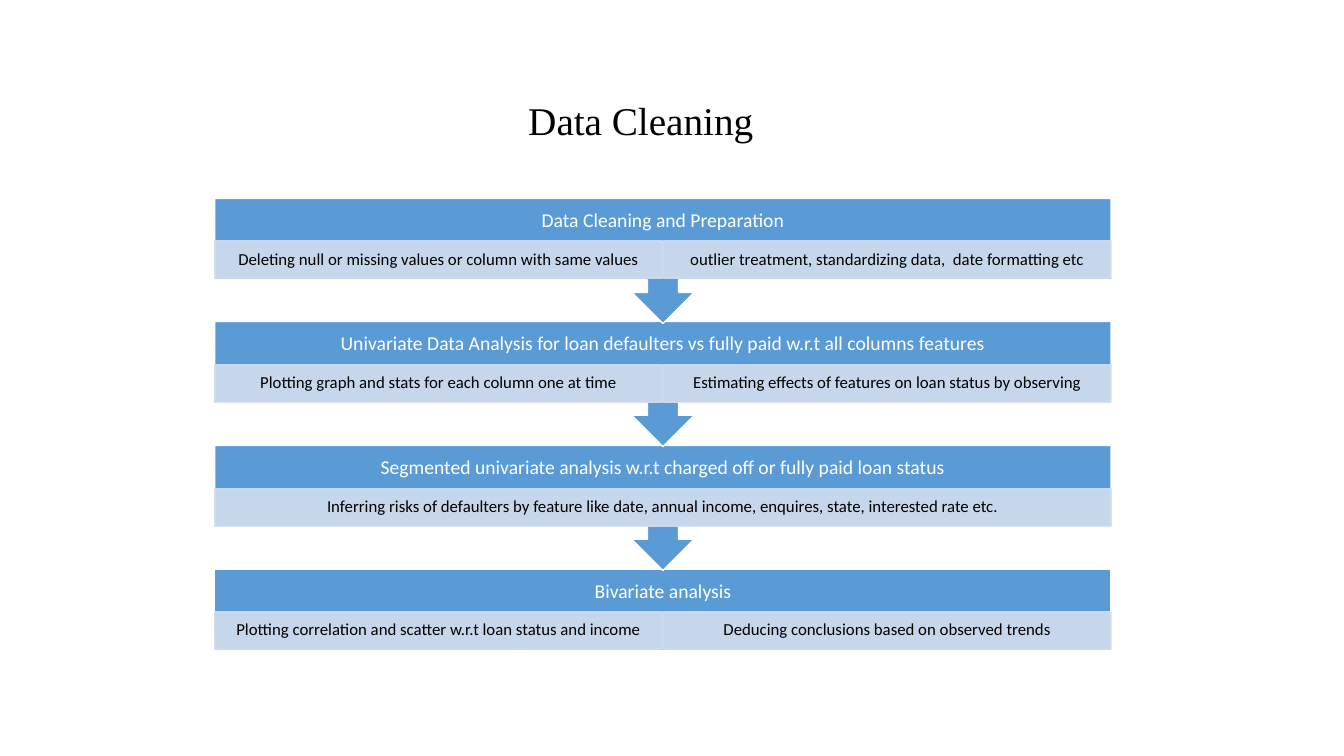
"""Build the Data Cleaning slide: four analysis stages joined by arrow callouts."""
from lxml import etree
from pptx import Presentation, util as u
from pptx.dml.color import RGBColor
from pptx.enum import shapes, text
from pptx.oxml.ns import qn

PX = u.Inches(1) // 100
COLORS = {"stage": "5B9BD5", "step": "D2DEEF", "light": "FFFFFF", "dark": "000000"}
LEFT, WIDTH = 213, 889
STAGE_HEIGHT, HEADING_HEIGHT, STEP_HEIGHT = 124, 44, 37

stages = [
    (197, 239, "Data Cleaning and Preparation",
     ["Deleting null or missing values or column with same values",
      "outlier treatment, standardizing data,  date formatting etc"]),
    (319, 362, "Univariate Data Analysis for loan defaulters vs fully paid w.r.t all columns features",
     ["Plotting graph and stats for each column one at time",
      "Estimating effects of features on loan status by observing"]),
    (442, 485, "Segmented univariate analysis w.r.t charged off or fully paid loan status",
     ["Inferring risks of defaulters by feature like date, annual income, enquires, state, interested rate etc."]),
    (565, 607, "Bivariate analysis",
     ["Plotting correlation and scatter w.r.t loan status and income",
      "Deducing conclusions based on observed trends"]),
]

deck = Presentation()
deck.slide_width, deck.slide_height = 1333 * PX, 750 * PX
slide = deck.slides.add_slide(deck.slide_layouts[6])


def write(holder, words, size, color, font="Calibri", margin=9):
    frame = holder.text_frame
    frame.word_wrap = True
    frame.vertical_anchor = text.MSO_ANCHOR.MIDDLE
    frame.margin_left = frame.margin_right = margin * PX
    frame.margin_top = frame.margin_bottom = 2 * PX
    line = frame.paragraphs[0]
    line.text = words
    line.alignment = text.PP_ALIGN.CENTER
    line.line_spacing = 0.9
    line.font.name, line.font.size = font, u.Pt(size)
    line.font.color.rgb = RGBColor.from_string(COLORS[color])


def block(kind, left, top, width, height, fill, outline):
    shape = slide.shapes.add_shape(kind, left * PX, top * PX, width * PX, height * PX)
    shape.shadow.inherit = False
    shape.fill.solid()
    shape.fill.fore_color.rgb = RGBColor.from_string(COLORS[fill])
    shape.line.color.rgb = RGBColor.from_string(COLORS[outline])
    shape.line.width = u.Pt(1)
    return shape


title = slide.shapes.add_textbox(126 * PX, 75 * PX, 1019 * PX, 94 * PX)
write(title, "Data Cleaning", 28, "dark", "Times New Roman")

for top, step_top, heading, steps in reversed(stages):
    if heading == stages[-1][2]:
        block(shapes.MSO_SHAPE.RECTANGLE, LEFT, top, WIDTH, 81, "stage", "light")
    else:
        callout = block(shapes.MSO_SHAPE.UP_ARROW_CALLOUT, LEFT, top, WIDTH, STAGE_HEIGHT, "stage", "light")
        callout.rotation = 180
    label = slide.shapes.add_textbox(LEFT * PX, top * PX, WIDTH * PX, HEADING_HEIGHT * PX)
    write(label, heading, 14, "light", margin=11)

    step_width = WIDTH // len(steps)
    for column, words in enumerate(steps):
        step = block(shapes.MSO_SHAPE.RECTANGLE, LEFT + column * (step_width + 1), step_top,
                     step_width, STEP_HEIGHT, "step", "step")
        for tint in step._element.spPr.iter(qn("a:srgbClr")):
            etree.SubElement(tint, qn("a:alpha"), val="90000")
        write(step, words, 12, "dark")

deck.save("out.pptx")
